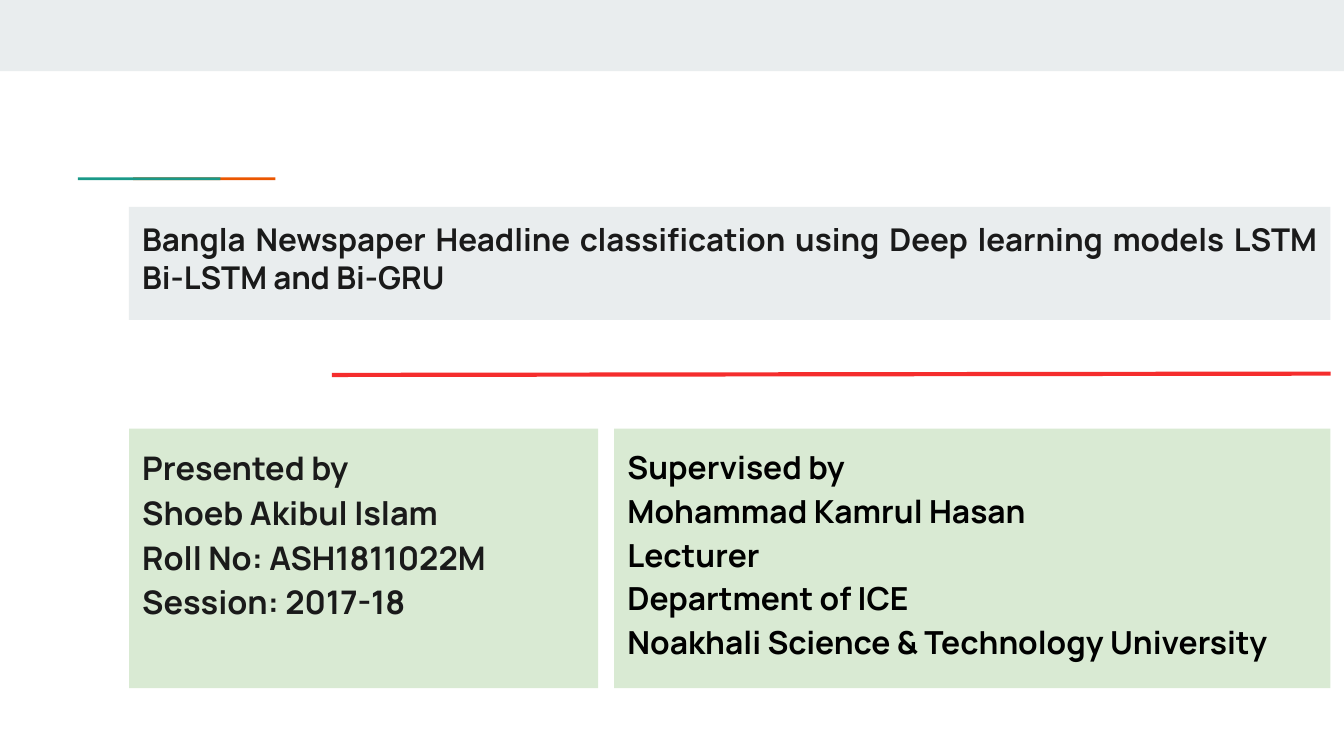
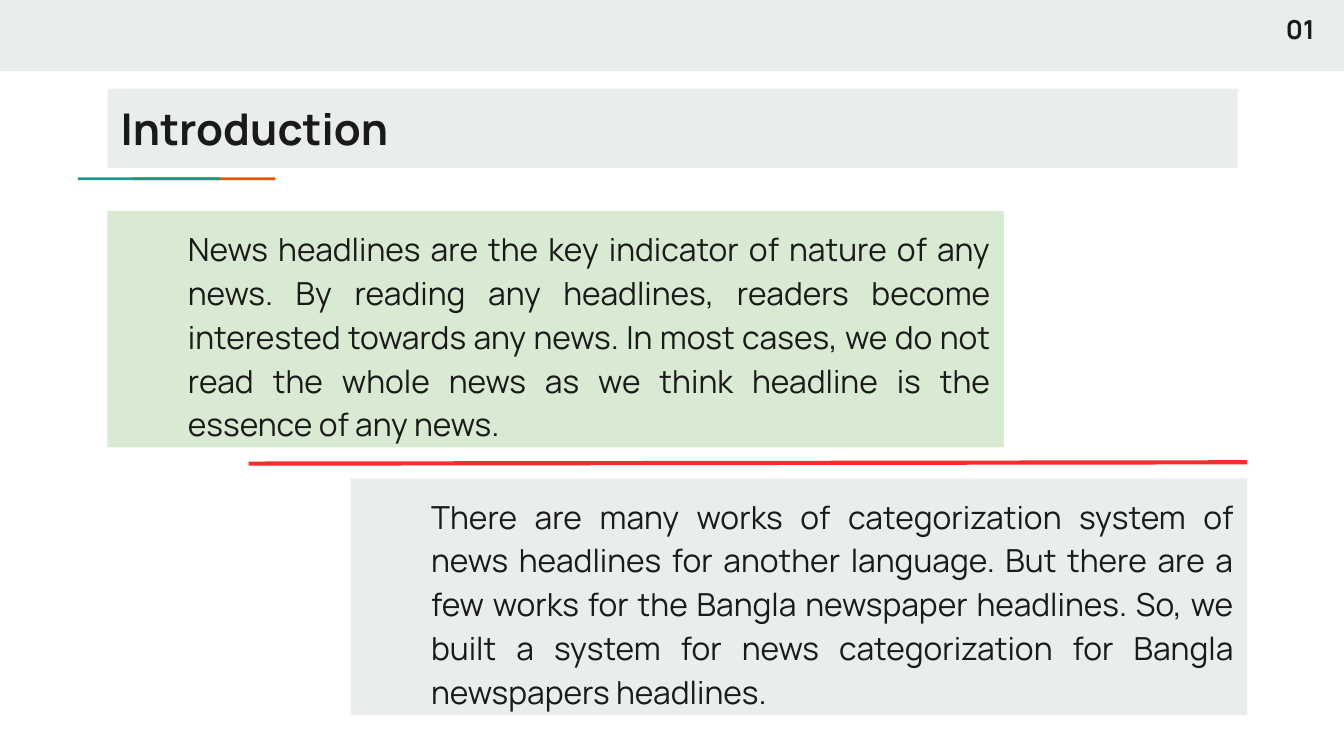
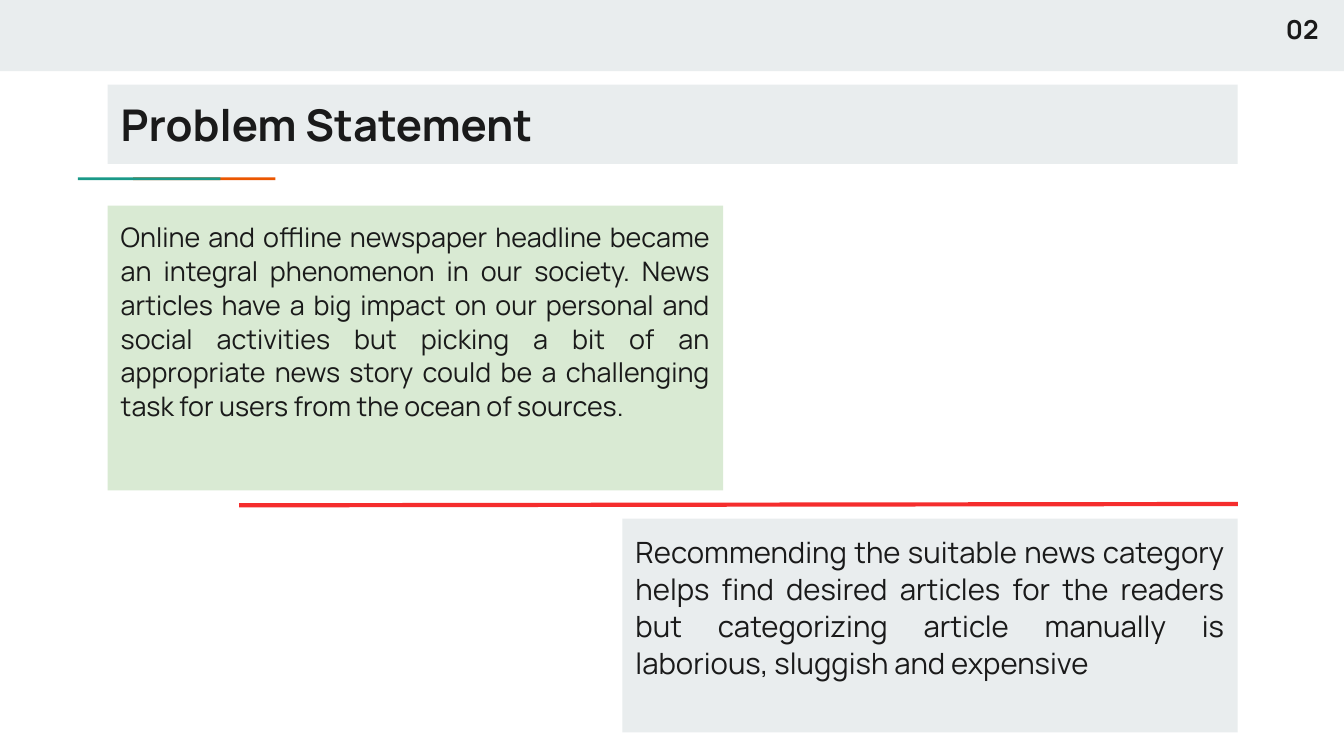
from dataclasses import dataclass

from lxml import etree
from pptx import Presentation
from pptx.dml.color import RGBColor
from pptx.enum.shapes import MSO_CONNECTOR, MSO_SHAPE
from pptx.enum.text import MSO_ANCHOR, PP_ALIGN
from pptx.oxml.ns import qn
from pptx.util import Inches, Pt

RECT = MSO_SHAPE.RECTANGLE
LINE = MSO_CONNECTOR.STRAIGHT
TOP = MSO_ANCHOR.TOP
LEFT = PP_ALIGN.LEFT
JUST = PP_ALIGN.JUSTIFY


@dataclass(frozen=True)
class Theme:
    font: str = "Manrope"
    gray: str = "E9EDEE"
    green: str = "D9EAD3"
    teal: str = "1A9988"
    orange: str = "EB5600"
    red: str = "F52D2D"
    ink: str = "1A1A1A"
    black: str = "000000"
    head: float = 23.4
    topic: float = 16.8
    name: float = 17.4
    body: float = 17
    note: float = 15.7
    small: float = 14.4
    page: float = 14
    rule: float = 2.25


T = Theme()
WIDE = 10
HIGH = WIDE * 9 / 16
EDGE = 0.8
PAD = Inches(0.1)
BOX = {
    "word_wrap": True,
    "vertical_anchor": TOP,
    "margin_left": PAD,
    "margin_top": PAD,
    "margin_right": PAD,
    "margin_bottom": PAD,
}
PROSE = {"alignment": JUST, "space_after": Pt(12)}
LOOSE = {**PROSE, "line_spacing": 1.15}
TIGHT = {**PROSE, "line_spacing": 1.05}


def apply(item, values):
    for key, value in values.items():
        setattr(item, key, value)


def block(slide, at, fill):
    shape = slide.shapes.add_shape(RECT, *map(Inches, at))
    shape.shadow.inherit = False
    shape.fill.solid()
    shape.fill.fore_color.rgb = RGBColor.from_string(fill)
    shape.line.fill.background()
    return shape


def panel(slide, at, fill, lines, size, bold=False, color=T.ink, form=None, inset=0):
    """Add a filled box with one paragraph for each line."""
    frame = block(slide, at, fill).text_frame
    apply(frame, BOX)
    for num, line in enumerate(lines):
        para = frame.add_paragraph() if num else frame.paragraphs[0]
        apply(para, {"alignment": LEFT, **(form or {})})
        if inset:
            props = para._p.get_or_add_pPr()
            props.set("marL", str(Inches(inset)))
            props.set("indent", "0")
        run = para.add_run()
        run.text = line
        apply(run.font, {"name": T.font, "size": Pt(size), "bold": bold})
        run.font.color.rgb = RGBColor.from_string(color)


def rule(slide, right, top):
    """Draw the red divider, slightly lower at its left end."""
    ends = right, top, right - 7.43, top + 0.01
    line = slide.shapes.add_connector(LINE, *map(Inches, ends))
    line.line.color.rgb = RGBColor.from_string(T.red)
    line.line.width = Pt(T.rule)
    etree.SubElement(line._element.spPr, qn("a:effectLst"))


def start(deck):
    """Add a slide with the top band and the two-colour accent."""
    slide = deck.slides.add_slide(deck.slide_layouts[6])
    block(slide, (0, 0, WIDE, 0.53), T.gray)
    for left, color in ((0.99, T.orange), (0.58, T.teal)):
        block(slide, (left, 1.32, 1.06, 0.02), color)
    return slide


def topic(deck, title, top, page):
    slide = start(deck)
    panel(slide, (EDGE, top, 8.41, 0.59), T.gray, [title], T.head, True)
    panel(slide, (9.47, 0, 0.53, 0.32), T.gray, [page], T.page, True)
    return slide


def cover(deck):
    slide = start(deck)
    left, right, top, high = 0.96, 9.9, 3.19, 1.93
    spaced = {"line_spacing": 1.15}
    panel(slide, (left, top, 3.49, high), T.green, [
        "Presented by",
        "Shoeb Akibul Islam",
        "Roll No: ASH1811022M",
        "Session: 2017-18",
    ], T.name, True, form=spaced)
    panel(slide, (4.57, top, 5.33, high), T.green, [
        "Supervised by",
        "Mohammad Kamrul Hasan",
        "Lecturer",
        "Department of ICE",
        "Noakhali Science & Technology University",
    ], T.body, True, T.black, spaced)
    panel(slide, (left, 1.54, right - left, 0.84), T.gray, [
        "Bangla Newspaper Headline classification using Deep learning models "
        "LSTM Bi-LSTM and Bi-GRU",
    ], T.topic, True, form={"alignment": JUST})
    rule(slide, right, 2.78)


def intro(deck):
    slide = topic(deck, "Introduction", 0.66, "01")
    wide, high = 6.67, 1.76
    panel(slide, (EDGE, 1.57, wide, high), T.green, [
        "News headlines are the key indicator of nature of any news. "
        "By reading any headlines, readers become interested towards any news. "
        "In most cases, we do not read the whole news as we think headline "
        "is the essence of any news.",
    ], T.body, form=LOOSE, inset=0.5)
    panel(slide, (2.61, 3.56, wide, high), T.gray, [
        "There are many works of categorization system of news headlines "
        "for another language. But there are a few works for the Bangla "
        "newspaper headlines. So, we built a system for news categorization "
        "for Bangla newspapers headlines.",
    ], T.body, form=LOOSE, inset=0.5)
    rule(slide, 9.28, 3.44)


def problem(deck):
    slide = topic(deck, "Problem Statement", 0.63, "02")
    wide = 4.58
    panel(slide, (EDGE, 1.53, wide, 2.12), T.green, [
        "Online and offline newspaper headline became an integral phenomenon "
        "in our society. News articles have a big impact on our personal and "
        "social activities but picking a bit of an appropriate news story "
        "could be a challenging task for users from the ocean of sources.",
    ], T.small, form=TIGHT)
    panel(slide, (4.63, 3.86, wide, 1.59), T.gray, [
        "Recommending the suitable news category helps find desired articles "
        "for the readers but categorizing article manually is laborious, "
        "sluggish and expensive",
    ], T.note, form=TIGHT)
    rule(slide, 9.21, 3.75)


def main():
    deck = Presentation()
    deck.slide_width = Inches(WIDE)
    deck.slide_height = Inches(HIGH)
    cover(deck)
    intro(deck)
    problem(deck)
    deck.save("out.pptx")


if __name__ == "__main__":
    main()
